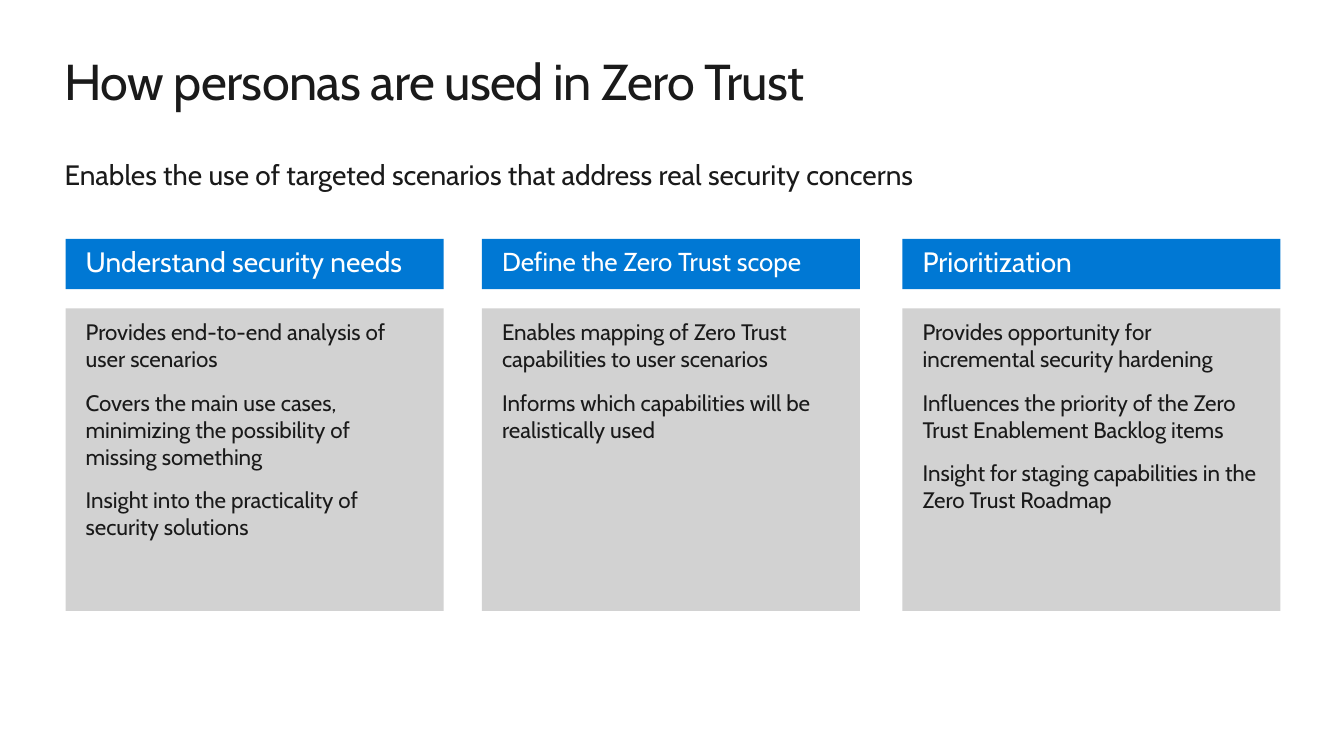
from dataclasses import dataclass

from pptx import Presentation
from pptx.dml.color import RGBColor
from pptx.enum.shapes import MSO_SHAPE
from pptx.enum.text import MSO_ANCHOR, PP_ALIGN
from pptx.util import Inches, Pt


@dataclass(frozen=True)
class Theme:
    """Font, colours and type sizes of the slide."""
    font: str = "Cabin"
    ink: RGBColor = RGBColor(0x1A, 0x1A, 0x1A)
    white: RGBColor = RGBColor(0xFF, 0xFF, 0xFF)
    blue: RGBColor = RGBColor(0x00, 0x78, 0xD4)
    grey: RGBColor = RGBColor(0xD2, 0xD2, 0xD2)
    title_size: float = 36
    heading_size: float = 20
    tight_heading_size: float = 18.5
    body_size: float = 16
    title_tracking: float = -0.5
    paragraph_gap: float = 6


class SlideBuilder:
    """Adds styled elements to one slide."""

    def __init__(self, slide, theme):
        """Keep the slide and its theme."""
        self.slide = slide
        self.theme = theme

    def set_text(self, shape, texts, size, color, insets=(0, 0, 0, 0),
                 anchor=MSO_ANCHOR.TOP, before=0, after=0):
        """Fill a shape with one paragraph per text."""
        frame = shape.text_frame
        frame.word_wrap = True
        frame.vertical_anchor = anchor
        (frame.margin_left, frame.margin_top,
         frame.margin_right, frame.margin_bottom) = map(Inches, insets)
        frame.text = "\n".join(texts)
        for paragraph in frame.paragraphs:
            paragraph.alignment = PP_ALIGN.LEFT
            paragraph.space_before = Pt(before)
            paragraph.space_after = Pt(after)
            paragraph.font.name = self.theme.font
            paragraph.font.size = Pt(size)
            paragraph.font.color.rgb = color

    def add_text(self, text, left, top, width, height, size, after=0, tracking=0):
        """Add a line of plain text with optional letter spacing in points."""
        box = self.slide.shapes.add_textbox(
            Inches(left), Inches(top), Inches(width), Inches(height))
        self.set_text(box, [text], size, self.theme.ink, after=after)
        if tracking:
            run = box.text_frame.paragraphs[0].runs[0]
            run._r.get_or_add_rPr().set("spc", str(round(tracking * 100)))

    def add_panel(self, left, top, width, height, fill):
        """Add a flat rectangle and return it."""
        panel = self.slide.shapes.add_shape(
            MSO_SHAPE.RECTANGLE,
            Inches(left), Inches(top), Inches(width), Inches(height))
        panel.shadow.inherit = False
        panel.fill.solid()
        panel.fill.fore_color.rgb = fill
        panel.line.fill.background()
        return panel

    def add_column(self, left, heading, heading_size, points):
        """Add a blue heading bar above a grey panel of points."""
        theme = self.theme
        gap = theme.paragraph_gap
        bar = self.add_panel(left, 2.37, COLUMN_WIDTH, 0.5, theme.blue)
        self.set_text(bar, [heading], heading_size, theme.white,
                      insets=(0.2, 0, 0.2, 0.05), anchor=MSO_ANCHOR.MIDDLE, after=gap)
        panel = self.add_panel(left, 3.06, COLUMN_WIDTH, 3, theme.grey)
        self.set_text(panel, points, theme.body_size, theme.ink,
                      insets=(0.2, 0.1, 0.2, 0.1), before=gap, after=gap)


THEME = Theme()
COLUMN_WIDTH = 3.75
COLUMNS = [
    (0.65, "Understand security needs", THEME.heading_size, [
        "Provides end-to-end analysis of user scenarios",
        "Covers the main use cases, minimizing the possibility of missing something",
        "Insight into the practicality of security solutions"]),
    (4.78, "Define the Zero Trust scope", THEME.tight_heading_size, [
        "Enables mapping of Zero Trust capabilities to user scenarios",
        "Informs which capabilities will be realistically used"]),
    (8.95, "Prioritization", THEME.heading_size, [
        "Provides opportunity for incremental security hardening",
        "Influences the priority of the Zero Trust Enablement Backlog items",
        "Insight for staging capabilities in the Zero Trust Roadmap"]),
]


def main():
    """Build the slide and save it."""
    presentation = Presentation()
    presentation.slide_width = Inches(13.33)
    presentation.slide_height = Inches(7.5)
    slide = presentation.slides.add_slide(presentation.slide_layouts[6])
    builder = SlideBuilder(slide, THEME)
    builder.add_text("How personas are used in Zero Trust", 0.64, 0.5, 12.05, 0.61,
                     THEME.title_size, tracking=THEME.title_tracking)
    builder.add_text(
        "Enables the use of targeted scenarios that address real security concerns",
        0.64, 1.56, 12.06, 0.34, THEME.heading_size, after=THEME.paragraph_gap)
    for column in COLUMNS:
        builder.add_column(*column)
    presentation.save("out.pptx")


main()
